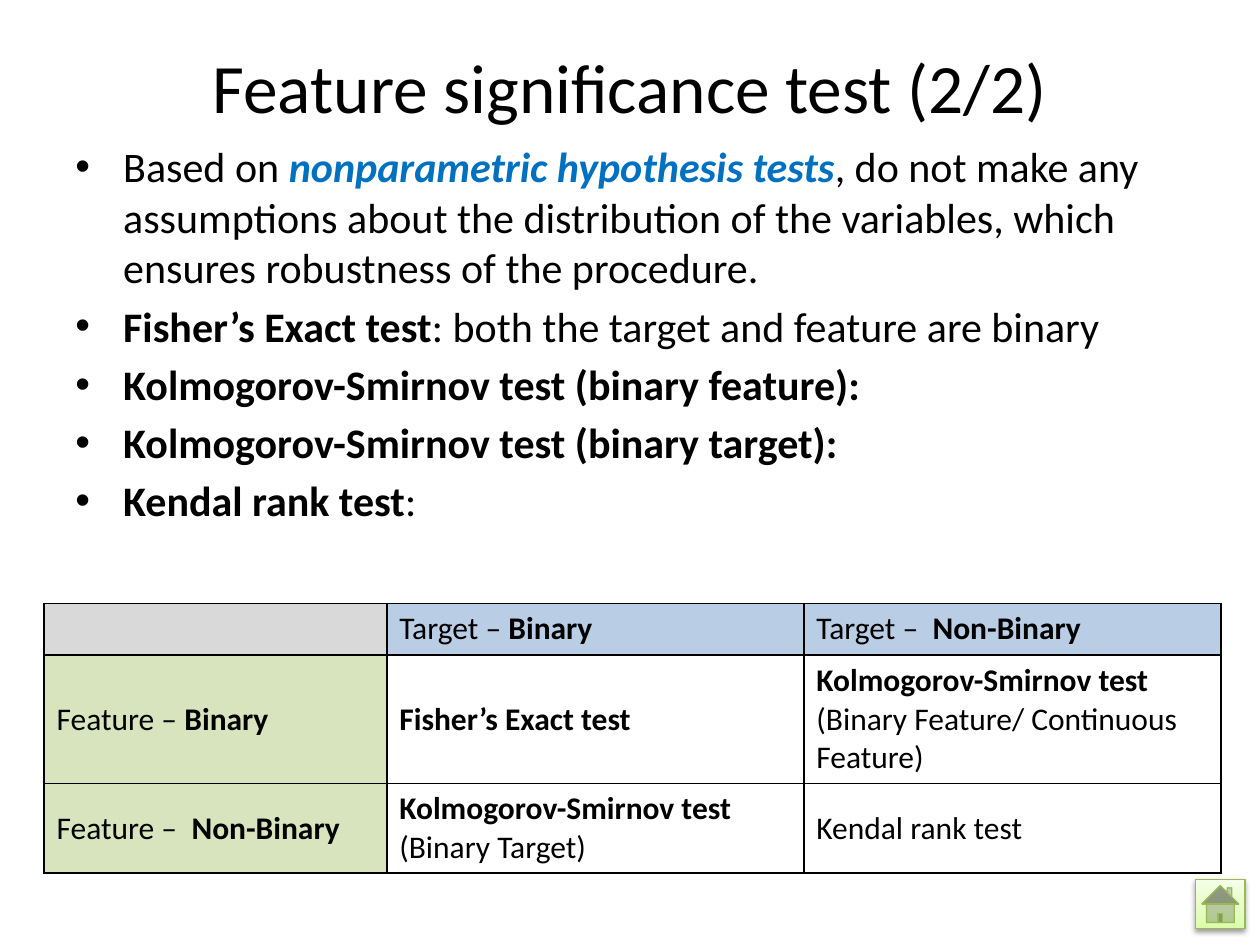
from lxml import etree
from pptx import Presentation
from pptx import util as u
from pptx.dml.color import RGBColor
from pptx.enum import shapes, text
from pptx.oxml import parse_xml
from pptx.oxml.ns import qn

BLACK, BLUE = "000000", "0070C0"
A = 'xmlns:a="http://schemas.openxmlformats.org/drawingml/2006/main"'


def color(value):
    return RGBColor.from_string(value)


def add_runs(paragraph, runs, size):
    """Each run is (wording, style): b for bold, i for italic and blue."""
    for wording, style in runs:
        run = paragraph.add_run()
        run.text = wording
        run.font.name = "Calibri"
        run.font.size = u.Pt(size)
        run.font.bold = "b" in style
        run.font.italic = "i" in style
        run.font.color.rgb = color(BLUE if "i" in style else BLACK)


presentation = Presentation()
presentation.slide_width, presentation.slide_height = u.Inches(10), u.Inches(7.5)
slide = presentation.slides.add_slide(presentation.slide_layouts[6])
margin = u.Inches(0.5)
content_width = presentation.slide_width - 2 * margin

# Title
title = slide.shapes.add_textbox(margin, u.Inches(0.3), content_width, u.Inches(0.77))
title.text_frame.word_wrap = True
title.text_frame.vertical_anchor = text.MSO_ANCHOR.MIDDLE
paragraph = title.text_frame.paragraphs[0]
paragraph.alignment = text.PP_ALIGN.CENTER
add_runs(paragraph, [("Feature significance test (2/2)", "")], 39.6)

# Bulleted list
bullets = [
    [("Based on ", ""), ("nonparametric hypothesis tests", "bi"),
     (", do not make any assumptions about the distribution of the variables, "
      "which ensures robustness of the procedure.", "")],
    [("Fisher’s Exact test", "b"), (": both the target and feature are binary", "")],
    [("Kolmogorov-Smirnov test (binary feature):", "b")],
    [("Kolmogorov-Smirnov test (binary target):", "b")],
    [("Kendal rank test", "b"), (":", "")],
]
body = slide.shapes.add_textbox(margin, u.Inches(1.07), content_width, u.Inches(3.23))
body.text_frame.word_wrap = True
for index, runs in enumerate(bullets):
    paragraph = body.text_frame.paragraphs[0] if index == 0 else body.text_frame.add_paragraph()
    paragraph.space_before = u.Pt(4.5)
    add_runs(paragraph, runs, 24)
    properties = paragraph._p.get_or_add_pPr()
    properties.set("marL", str(u.Inches(0.38)))
    properties.set("indent", str(-u.Inches(0.38)))
    etree.SubElement(properties, qn("a:buFont")).set("typeface", "Arial")
    etree.SubElement(properties, qn("a:buChar")).set("char", "•")

# Table of tests: each cell is a list of paragraphs, each paragraph a list of runs
smirnov = [("Kolmogorov-Smirnov test", "b")]
rows = [
    [[], [[("Target – ", ""), ("Binary", "b")]], [[("Target –  ", ""), ("Non-Binary", "b")]]],
    [[[("Feature – ", ""), ("Binary", "b")]], [[("Fisher’s Exact test", "b")]],
     [smirnov, [("(Binary Feature/ Continuous Feature)", "")]]],
    [[[("Feature –  ", ""), ("Non-Binary", "b")]], [smirnov, [("(Binary Target)", "")]],
     [[("Kendal rank test", "")]]],
]
column_widths, row_heights = [2.72, 3.31, 3.31], [0.41, 1.02, 0.71]
table = slide.shapes.add_table(3, 3, u.Inches(0.35), u.Inches(4.79),
                               u.Inches(sum(column_widths)), u.Inches(sum(row_heights))).table
for column, width in zip(table.columns, column_widths):
    column.width = u.Inches(width)
for row, height in zip(table.rows, row_heights):
    row.height = u.Inches(height)

for r, row in enumerate(rows):
    for c, paragraphs in enumerate(row):
        cell = table.cell(r, c)
        if r:
            cell.vertical_anchor = text.MSO_ANCHOR.MIDDLE
        for index, runs in enumerate(paragraphs):
            paragraph = cell.text_frame.paragraphs[0] if index == 0 else cell.text_frame.add_paragraph()
            add_runs(paragraph, runs, 18)
        properties = cell._tc.get_or_add_tcPr()
        for side in ("lnL", "lnR", "lnT", "lnB"):
            properties.append(parse_xml(
                f'<a:{side} {A} w="{u.Pt(1)}"><a:solidFill><a:srgbClr val="{BLACK}"/>'
                f'</a:solidFill></a:{side}>'))
        header, label = r == 0, c == 0
        fill = ("D9D9D9" if header and label else "B9CDE5" if header
                else "D7E4BD" if label else "FFFFFF")
        cell.fill.solid()
        cell.fill.fore_color.rgb = color(fill)

# Home button with gradient and soft shadow
home = slide.shapes.add_shape(shapes.MSO_SHAPE.ACTION_BUTTON_HOME, u.Inches(9.49),
                              u.Inches(6.98), u.Inches(0.39), u.Inches(0.39))
home.line.color.rgb = color("98B955")
home.line.width = u.Pt(0.75)
stops = "".join(f'<a:gs pos="{share * 1000}"><a:srgbClr val="{value}"/></a:gs>'
                for share, value in [(0, "DAFDA7"), (35, "E4FCC2"), (100, "F5FFE7")])
home_properties = home._element.spPr
home_properties.find(qn("a:ln")).addprevious(parse_xml(
    f'<a:gradFill {A} rotWithShape="1"><a:gsLst>{stops}</a:gsLst>'
    f'<a:lin ang="{270 * 60000}" scaled="0"/></a:gradFill>'))
home_properties.append(parse_xml(
    f'<a:effectLst {A}><a:outerShdw blurRad="{u.Pt(3.1)}" dist="{u.Pt(1.6)}" '
    f'dir="{90 * 60000}" rotWithShape="0"><a:srgbClr val="{BLACK}">'
    f'<a:alpha val="38000"/></a:srgbClr></a:outerShdw></a:effectLst>'))

presentation.save("out.pptx")
